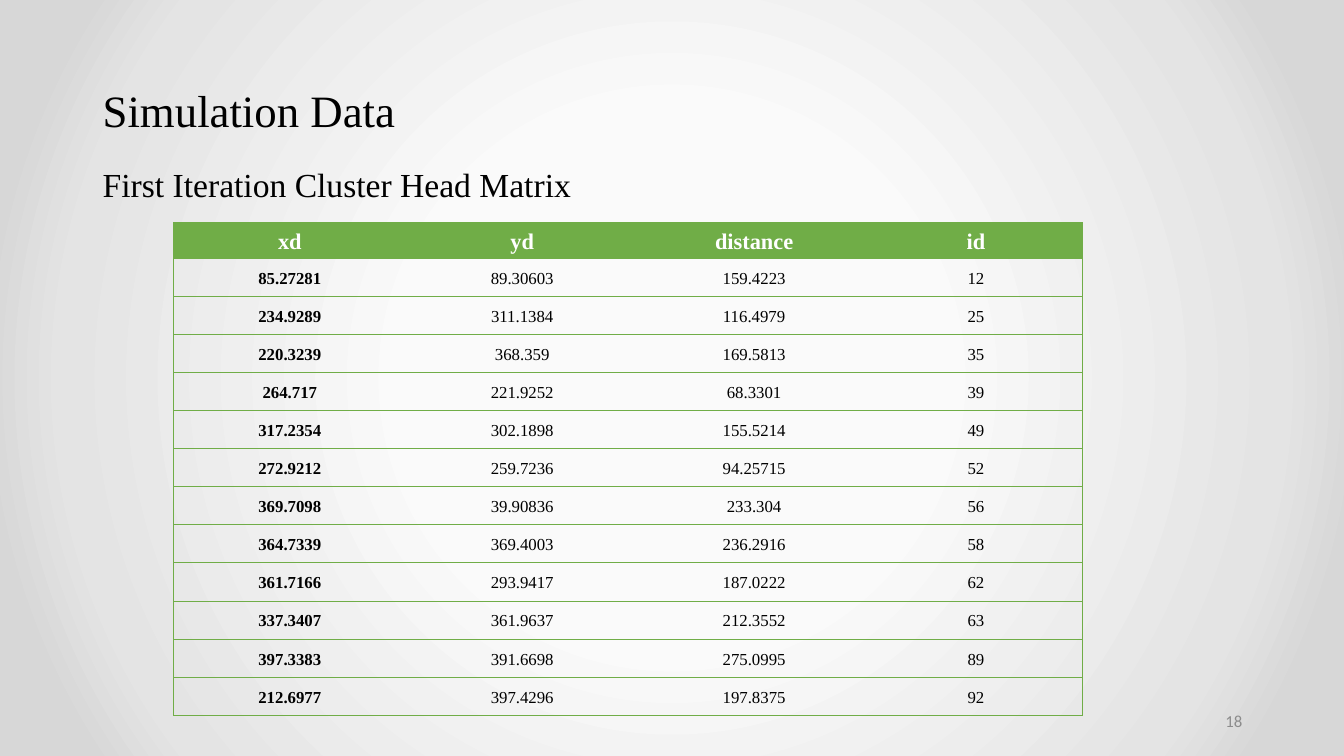
import pptx
import pptx.util
import pptx.dml.color
import pptx.enum.text
import pptx.oxml
import pptx.oxml.ns

# Content
TITLE = "Simulation Data"
SUBTITLE = "First Iteration Cluster Head Matrix"
PAGE_NUMBER = "18"
HEADINGS = ("xd", "yd", "distance", "id")
CLUSTER_HEADS = [
    ("85.27281", "89.30603", "159.4223", "12"),
    ("234.9289", "311.1384", "116.4979", "25"),
    ("220.3239", "368.359", "169.5813", "35"),
    ("264.717", "221.9252", "68.3301", "39"),
    ("317.2354", "302.1898", "155.5214", "49"),
    ("272.9212", "259.7236", "94.25715", "52"),
    ("369.7098", "39.90836", "233.304", "56"),
    ("364.7339", "369.4003", "236.2916", "58"),
    ("361.7166", "293.9417", "187.0222", "62"),
    ("337.3407", "361.9637", "212.3552", "63"),
    ("397.3383", "391.6698", "275.0995", "89"),
    ("212.6977", "397.4296", "197.8375", "92"),
]

# Look and layout, in inches
WIDTH, HEIGHT = 13.33, 7.5
MARGIN, CONTENT_WIDTH = 0.92, 11.5
TABLE_LEFT, TABLE_TOP, TABLE_HEIGHT = 1.72, 2.21, 4.89
COLUMN_WIDTHS = (2.31, 2.3, 2.3, 2.1)
HEADER_HEIGHT = 0.35
GREEN, BLACK, WHITE, GREY = "70AD47", "000000", "FFFFFF", "8C8C8C"
BACKDROP = [(34, "FAFAFA"), (79, "E4E4E4"), (90, "D7D7D7"), (91, "D7D7D7")]
SERIF = "Times New Roman"
INCH = pptx.util.Inches
ALIGN = pptx.enum.text.PP_ALIGN
MIDDLE = pptx.enum.text.MSO_ANCHOR.MIDDLE
TOP = pptx.enum.text.MSO_ANCHOR.TOP
NS = pptx.oxml.ns.nsdecls("a")


def rgb(color):
    return pptx.dml.color.RGBColor.from_string(color)


def write(frame, text, size, color, align, spacing, font=SERIF, bold=False):
    paragraph = frame.paragraphs[0]
    paragraph.text = text
    paragraph.alignment = align
    paragraph.line_spacing = spacing
    paragraph.font.name = font
    paragraph.font.size = pptx.util.Pt(size)
    paragraph.font.bold = bold
    paragraph.font.color.rgb = rgb(color)


def add_text(slide, box, anchor, *style, **options):
    frame = slide.shapes.add_textbox(*map(INCH, box)).text_frame
    frame.word_wrap = True
    frame.vertical_anchor = anchor
    write(frame, *style, **options)


def paint_backdrop(slide):
    slide.background.fill.gradient()
    gradient = slide.element.find(".//" + pptx.oxml.ns.qn("a:gradFill"))
    for child in list(gradient):
        gradient.remove(child)
    stops = "".join(f'<a:gs pos="{share * 1000}"><a:srgbClr val="{color}"/></a:gs>'
                    for share, color in BACKDROP)
    gradient.append(pptx.oxml.parse_xml(f"<a:gsLst {NS}>{stops}</a:gsLst>"))
    gradient.append(pptx.oxml.parse_xml(
        f'<a:path {NS} path="circle"><a:fillToRect l="50000" t="50000" r="50000" b="50000"/></a:path>'))


def set_borders(cell, green_sides):
    properties = cell._tc.get_or_add_tcPr()
    for side in "LRTB":
        paint = f'<a:solidFill><a:srgbClr val="{GREEN}"/></a:solidFill>' if side in green_sides else "<a:noFill/>"
        properties.append(pptx.oxml.parse_xml(f'<a:ln{side} {NS} w="6350">{paint}</a:ln{side}>'))


def add_matrix(slide):
    rows = [HEADINGS] + CLUSTER_HEADS
    last = len(HEADINGS) - 1
    table = slide.shapes.add_table(
        len(rows), len(HEADINGS), INCH(TABLE_LEFT), INCH(TABLE_TOP),
        INCH(sum(COLUMN_WIDTHS)), INCH(TABLE_HEIGHT)).table
    table.horz_banding = False
    for column, width in zip(table.columns, COLUMN_WIDTHS):
        column.width = INCH(width)
    body_height = (TABLE_HEIGHT - HEADER_HEIGHT) / len(CLUSTER_HEADS)
    for r, values in enumerate(rows):
        header = r == 0
        table.rows[r].height = INCH(HEADER_HEIGHT if header else body_height)
        for c, value in enumerate(values):
            cell = table.cell(r, c)
            cell.margin_left = cell.margin_right = INCH(0.07)
            cell.margin_top = cell.margin_bottom = 0
            cell.vertical_anchor = MIDDLE
            # Horizontal rules everywhere, vertical ones only at the outer edges
            set_borders(cell, "TB" + "L" * (c == 0) + "R" * (c == last))
            if header:
                cell.fill.solid()
                cell.fill.fore_color.rgb = rgb(GREEN)
            else:
                cell.fill.background()
            write(cell.text_frame, value, 16 if header else 12,
                  WHITE if header else BLACK, ALIGN.CENTER, 1.15,
                  bold=header or c == 0)


def main():
    deck = pptx.Presentation()
    deck.slide_width, deck.slide_height = INCH(WIDTH), INCH(HEIGHT)
    slide = deck.slides.add_slide(deck.slide_layouts[6])
    paint_backdrop(slide)

    # Headings and page number
    add_text(slide, (MARGIN, 0.4, CONTENT_WIDTH, 1.45), MIDDLE,
             TITLE, 32, BLACK, ALIGN.LEFT, 0.9)
    add_text(slide, (MARGIN, 1.62, CONTENT_WIDTH, 4.76), TOP,
             SUBTITLE, 24, BLACK, ALIGN.LEFT, 0.9)
    add_text(slide, (MARGIN + CONTENT_WIDTH - 3, 6.95, 3, 0.4), MIDDLE,
             PAGE_NUMBER, 12, GREY, ALIGN.RIGHT, 1.0, font="Calibri")

    # Cluster head table
    add_matrix(slide)
    deck.save("out.pptx")


if __name__ == "__main__":
    main()
